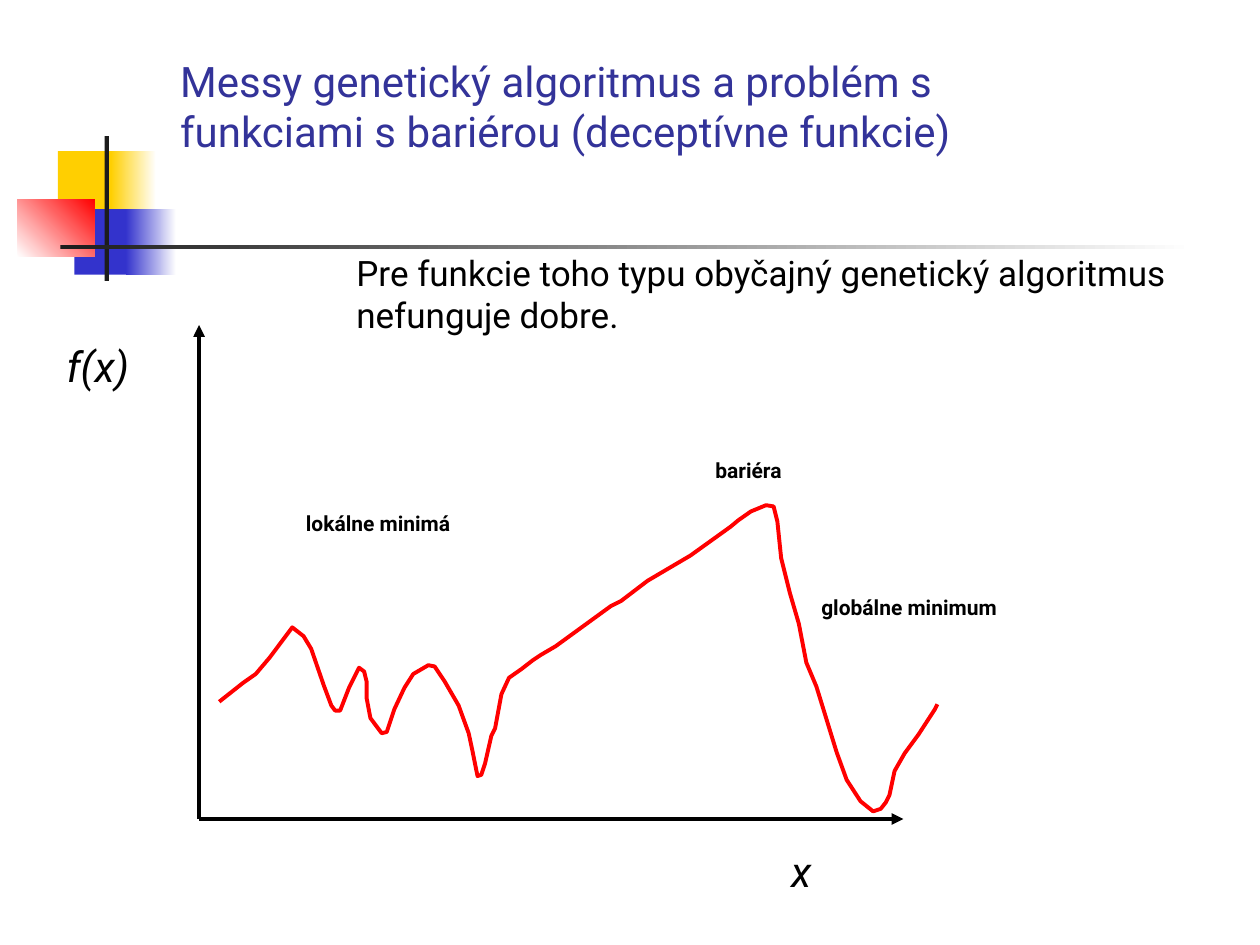
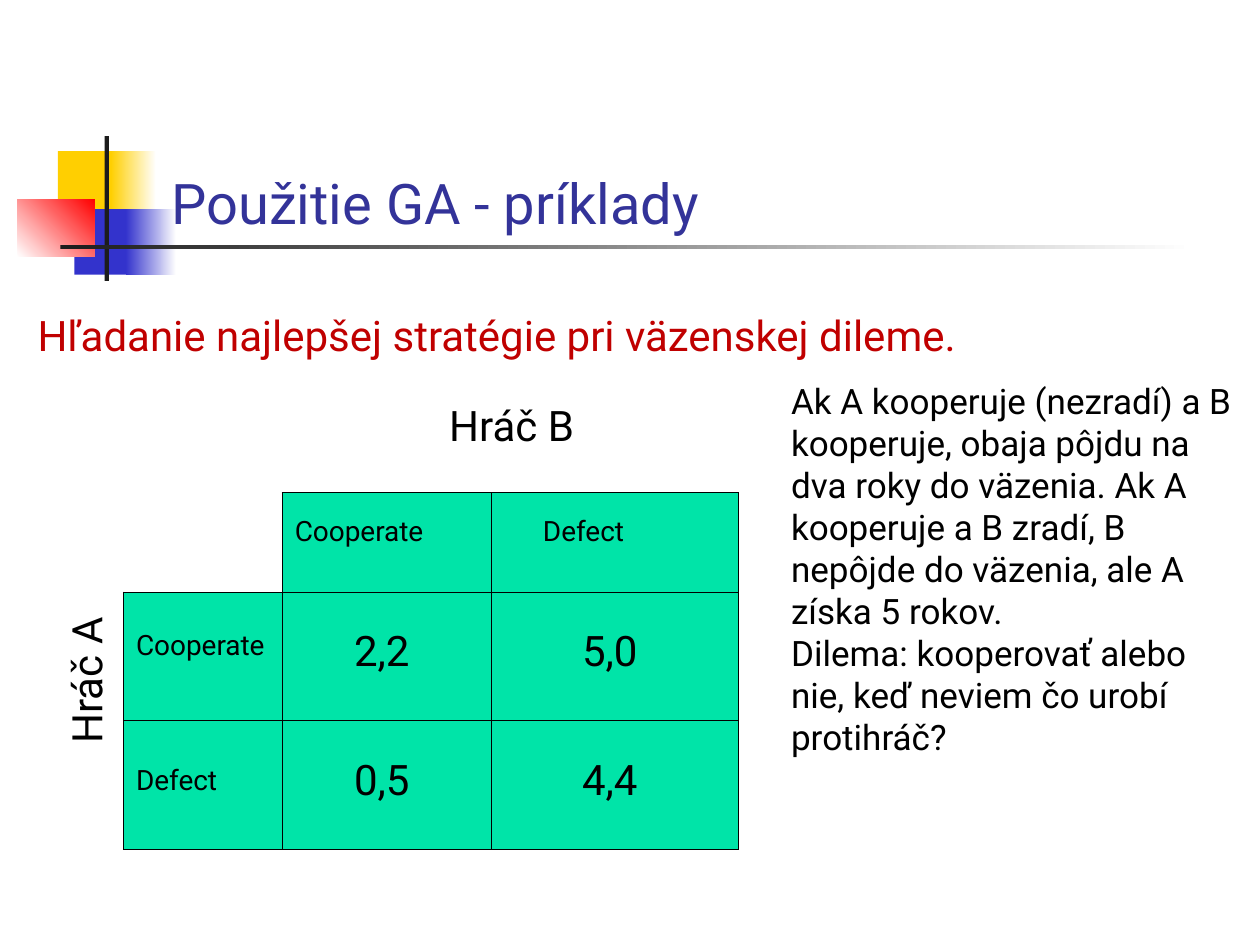
from lxml import etree
from pptx import Presentation
from pptx import util as u
from pptx.dml.color import RGBColor
from pptx.enum import shapes, text
from pptx.oxml.ns import qn

COLORS = {
    "title": "333399", "text": "000000", "accent": "C00000", "curve": "FF0000",
    "cell": "00E4A8", "yellow": "FFCF01", "blue": "3333CC", "red": "FF0000",
    "dark": "1C1C1C", "white": "FFFFFF",
}
FONT = "Roboto"
COLS, ROWS = 100, 75          # slide grid
UNIT = u.Inches(10) / COLS    # side of one square of the grid
LEFT, CENTER = text.PP_ALIGN.LEFT, text.PP_ALIGN.CENTER
TOP, MIDDLE, BOTTOM = (text.MSO_ANCHOR.TOP, text.MSO_ANCHOR.MIDDLE,
                       text.MSO_ANCHOR.BOTTOM)

# Curve: columns and rows from the origin of the axes, rows upwards
CURVE = [
    (1.6, 9.3), (3.5, 10.8), (4.5, 11.5), (5.6, 12.8), (7.4, 15.2), (8.3, 14.5),
    (8.9, 13.5), (9.9, 10.6), (10.5, 9), (10.8, 8.6), (11.2, 8.6), (11.9, 10.4),
    (12.7, 12), (13.1, 11.7), (13.3, 10.9), (13.3, 9.6), (13.6, 8), (14.5, 6.8),
    (14.9, 6.9), (15.5, 8.7), (16.3, 10.4), (17, 11.5), (18.2, 12.2), (18.7, 12.1),
    (19.5, 10.9), (20.6, 9), (21.4, 6.8), (21.7, 5.4), (22.1, 3.4), (22.4, 3.5),
    (22.7, 4.4), (23.2, 6.6), (23.5, 7.2), (24, 9.9), (24.6, 11.2), (25.6, 11.9),
    (26.5, 12.6), (27.1, 13), (28.3, 13.7), (32.7, 16.9), (33.5, 17.3),
    (35.6, 18.9), (39, 20.9), (42.2, 23.2), (42.8, 23.7), (43.8, 24.4), (45, 24.9),
    (45.6, 24.8), (45.9, 23.6), (46.2, 20.7), (46.9, 17.9), (47.6, 15.5),
    (48.2, 12.4), (49, 10.5), (50.6, 5.3), (51.4, 3.1), (52.5, 1.4), (53.5, 0.6),
    (54.1, 0.8), (54.5, 1.3), (54.8, 1.9), (55.2, 3.8), (56, 5.2), (57.1, 6.7),
    (58.4, 8.7), (58.6, 9.1),
]


def rgb(name):
    return RGBColor.from_string(COLORS[name])


def emu(*lengths):
    return [u.Emu(round(n * UNIT)) for n in lengths]


def within(box, x, y, w, h):
    """Place a part in grid units from the top left of its region."""
    return box[0] + x, box[1] + y, w, h


def write(tf, content, size=24, color="text", bold=False, italic=False,
          align=LEFT, anchor=TOP):
    """Fill a text frame, one paragraph for each line."""
    tf.word_wrap = True
    tf.vertical_anchor = anchor
    for i, line in enumerate(content.split("\n")):
        p = tf.add_paragraph() if i else tf.paragraphs[0]
        p.alignment = align
        p.space_before = u.Pt(0)
        r = p.add_run()
        r.text = line
        r.font.name, r.font.size = FONT, u.Pt(size)
        r.font.bold, r.font.italic = bold, italic
        r.font.color.rgb = rgb(color)


def label(s, box, content, rotation=0, **fmt):
    sp = s.shapes.add_textbox(*emu(*box))
    sp.rotation = rotation
    write(sp.text_frame, content, **fmt)


def title(s, box, content, **fmt):
    sp = s.shapes.title
    sp.left, sp.top, sp.width, sp.height = emu(*box)
    sp.text_frame.auto_size = text.MSO_AUTO_SIZE.NONE
    write(sp.text_frame, content, color="title", **fmt)


def add_emblem(s, layout, box):
    """Draw the coloured squares and bars, then move them to the layout."""
    parts = [  # x, y, width, height, colours from start to end, angle
        (3.2, 1.2, 4.8, 5.2, ["yellow"], 0),
        (7.4, 1.2, 3.6, 5.2, ["yellow", "white"], 0),
        (4.5, 5.8, 4.6, 5.2, ["blue"], 0),
        (8.6, 5.8, 4, 5.2, ["blue", "white"], 0),
        (0, 5, 6.1, 4.6, ["white", "red"], 45),
        (6.9, 0, 0.35, 11.5, ["dark"], 0),
        (3.4, 8.65, 90, 0.35, ["dark", "white"], 0),
    ]
    for i, (x, y, w, h, colors, angle) in enumerate(parts):
        sp = s.shapes.add_shape(shapes.MSO_SHAPE.RECTANGLE,
                                *emu(*within(box, x, y, w, h)))
        sp.shadow.inherit = False
        sp.line.fill.background()
        if len(colors) == 1:
            sp.fill.solid()
            sp.fill.fore_color.rgb = rgb(colors[0])
        else:
            sp.fill.gradient()
            sp.fill.gradient_angle = angle
            for stop, color in zip(sp.fill.gradient_stops, colors):
                stop.color.rgb = rgb(color)
        sp.element.nvSpPr.cNvPr.set("id", str(100 + i))
        layout.shapes.element.append(sp.element)


def axis(s, start, end):
    c = s.shapes.add_connector(shapes.MSO_CONNECTOR.STRAIGHT, *emu(*start, *end))
    c.line.color.rgb = rgb("text")
    c.line.width = u.Pt(2.25)
    etree.SubElement(c.line._get_or_add_ln(), qn("a:tailEnd"), type="triangle")
    etree.SubElement(c.element.spPr, qn("a:effectLst"))


def graph(s, box):
    """Axes, curve and their labels."""
    x, y, w, h = box
    origin = (x, y + h)
    axis(s, origin, (x, y))
    axis(s, origin, (x + w, y + h))

    points = [emu(x + dx, y + h - dy) for dx, dy in CURVE]
    builder = s.shapes.build_freeform(*points[0])
    builder.add_line_segments(points[1:], close=False)
    curve = builder.convert_to_shape()
    curve.shadow.inherit = False
    curve.fill.background()
    curve.line.color.rgb = rgb("curve")
    curve.line.width = u.Pt(2.25)

    for dx, dy, width, note in [(40, 10, 10, "bariéra"),
                                (7.5, 14.2, 18.3, "lokálne minimá"),
                                (48.4, 20.9, 18.3, "globálne minimum")]:
        label(s, within(box, dx, dy, width, 3), note, size=12, bold=True)
    label(s, within(box, 46, 40.8, 6.3, 5), "x", italic=True)
    label(s, within(box, -11.5, 0.7, 8.7, 5), "f(x)", italic=True)


def border(cell, sides, visible):
    tc_pr = cell._tc.get_or_add_tcPr()
    for i, side in enumerate(sides):
        ln = etree.Element(qn(f"a:ln{side}"), w=str(u.Pt(0.75)))
        if side in visible:
            fill = etree.SubElement(ln, qn("a:solidFill"))
            etree.SubElement(fill, qn("a:srgbClr"), val=COLORS["text"])
        else:
            etree.SubElement(ln, qn("a:noFill"))
        tc_pr.insert(i, ln)


def payoff_matrix(s, box):
    """Payoff table with the names of the players beside it."""
    rows = [["", "Cooperate", "Defect"],
            ["Cooperate", "2,2", "5,0"],
            ["Defect", "0,5", "4,4"]]
    widths, heights = (12.6, 16.6, 19.6), (7.9, 10.2, 10.2)
    frame = s.shapes.add_table(3, 3, *emu(*box))
    table = frame.table
    table.first_row = table.horz_banding = False
    for col, width in zip(table.columns, emu(*widths)):
        col.width = width
    for row, height in zip(table.rows, emu(*heights)):
        row.height = height

    for i, row in enumerate(rows):
        for j, value in enumerate(row):
            cell = table.cell(i, j)
            border(cell, "LRTB", "LRTB" if value else "RB")
            if not value:
                cell.fill.background()
                continue
            cell.fill.solid()
            cell.fill.fore_color.rgb = rgb("cell")
            heading = i == 0 or j == 0
            indent = 4.1 if (i, j) == (0, 2) else 1
            lift = 2 if heading and i < 2 else 1
            cell.margin_left, cell.margin_right = emu(
                indent if heading else 0.5, 0 if heading else 1.3)
            cell.margin_top, cell.margin_bottom = emu(0.4, lift)
            write(cell.text_frame, value, size=16 if heading else 24,
                  align=LEFT if heading else CENTER)
            cell.vertical_anchor = MIDDLE

    label(s, within(box, 17.4, -7.9, 26.8, 5), "Hráč B", align=CENTER)
    label(s, within(box, -16.4, 12.4, 26.8, 5), "Hráč A", rotation=270,
          align=CENTER)


def barrier_slide(s):
    title(s, (13.3, 3.9, 74.2, 9),
          "Messy genetický algoritmus a problém s funkciami s bariérou "
          "(deceptívne funkcie)", anchor=TOP)
    graph(s, (15.8, 25.8, 55.9, 39.2))
    label(s, (27.3, 19.5, 72.7, 7.7),
          "Pre funkcie toho typu obyčajný genetický algoritmus nefunguje dobre.",
          size=20)


def dilemma_slide(s):
    title(s, (12.6, 6.7, 85.2, 12.5), "Použitie GA - príklady", size=32,
          anchor=BOTTOM)
    label(s, (2, 24.1, 91.4, 5),
          "Hľadanie najlepšej stratégie pri väzenskej dileme.", color="accent")
    payoff_matrix(s, (9.8, 39.1, 48.8, 28.3))
    label(s, (61.8, 29.6, 38.2, 31),
          "Ak A kooperuje (nezradí) a B kooperuje, obaja pôjdu na dva roky do "
          "väzenia. Ak A kooperuje a B zradí, B nepôjde do väzenia, ale A získa "
          "5 rokov.\nDilema: kooperovať alebo nie, keď neviem čo urobí protihráč?",
          size=20)


def main():
    prs = Presentation()
    prs.slide_width, prs.slide_height = emu(COLS, ROWS)
    layout = prs.slide_layouts[5]
    first, second = [prs.slides.add_slide(layout) for _ in range(2)]
    add_emblem(first, layout, (1.4, 10.8, 93.4, 11.5))
    barrier_slide(first)
    dilemma_slide(second)
    prs.save("out.pptx")


if __name__ == "__main__":
    main()
